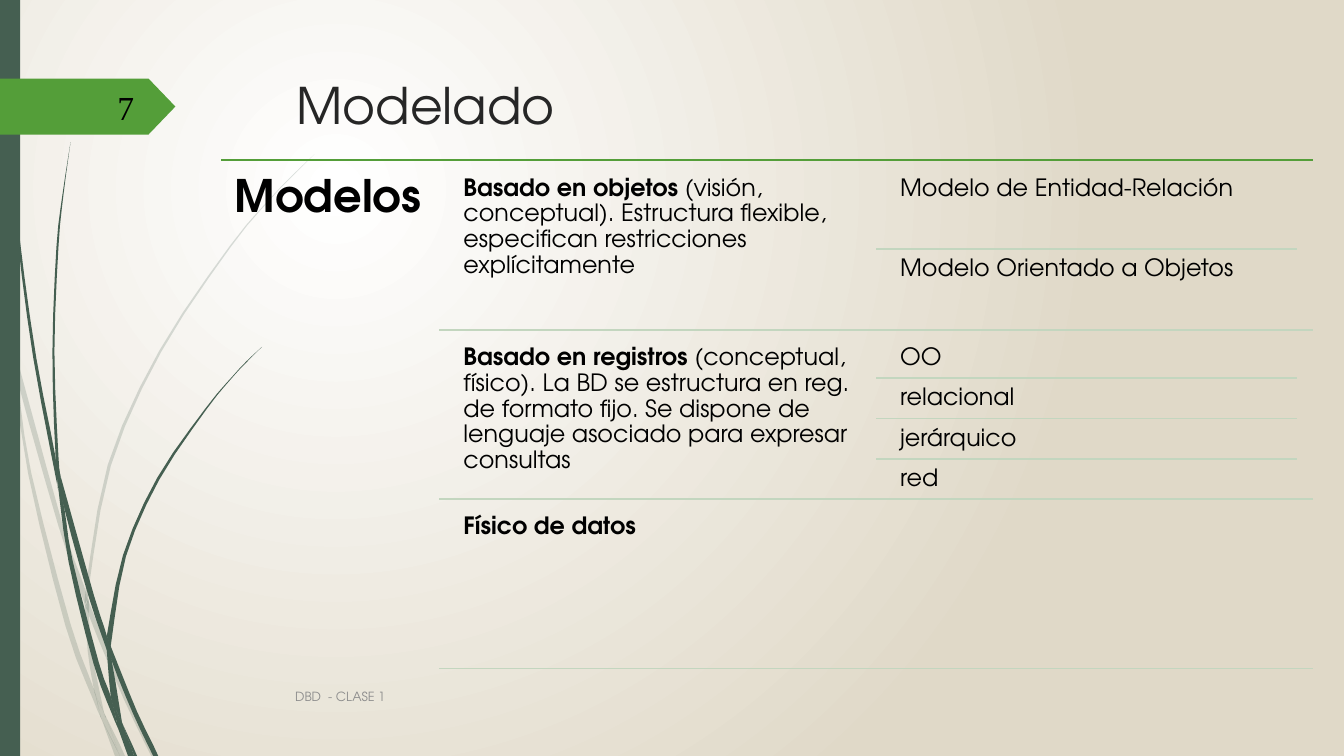
from lxml.etree import SubElement
from pptx import Presentation
from pptx.dml.color import RGBColor
from pptx.enum.shapes import MSO_CONNECTOR, MSO_SHAPE
from pptx.enum.text import MSO_ANCHOR, PP_ALIGN
from pptx.oxml.ns import qn
from pptx.util import Inches, Pt

INK = {"dark": "455F51", "green": "549E39", "rule": "C3D6BF", "title": "262626",
       "black": "000000", "gray": "8C8C8C", "white": "FFFFFF", "sand": "E0D9C8"}
FONT = "TeX Gyre Adventor"

BANDS = [
    ("Basado en objetos",
     " (visión, conceptual). Estructura flexible, especifican restricciones explícitamente",
     ["Modelo de Entidad-Relación", "Modelo Orientado a Objetos"]),
    ("Basado en registros",
     " (conceptual, físico). La BD se estructura en reg. de formato fijo. "
     "Se dispone de lenguaje asociado para expresar consultas",
     ["OO", "relacional", "jerárquico", "red"]),
    ("Físico de datos", "", []),
]

PALE = [
    ([(1.1, 35), (0.9, 32.2), (0, 28.2)], [(0, 29.9), (1, 34.4)]),
    ([(1.4, 34.5), (1.7, 37.6), (5.8, 52.2), (8.4, 59.9)], [(8.5, 58.6), (6.2, 52)]),
    ([(8.8, 59.6), (8.8, 61), (12.3, 69.4), (15, 75)], [(15.5, 75), (12.7, 69.2), (9.2, 60.7)]),
    ([(10.5, 71.1), (11.9, 75)], [(12.4, 75)]),
    ([(1.1, 35), (2.8, 47), (6.5, 62.1), (9.2, 69.3), (10.1, 71.4)],
     [(9.9, 70.7), (9.3, 68.3), (7, 61.9), (3.1, 46.9), (1.7, 37.6)]),
    ([(8.4, 59.9), (8.7, 64.6), (9.3, 68.3), (9.6, 69.2), (10.5, 71.1)],
     [(10.3, 70.6), (9.1, 64.6), (8.8, 61)]),
    ([(31.2, 15.3), (28.9, 17.5), (26.8, 19.7), (22.8, 24.4), (15.8, 34.8), (10.7, 46.1),
      (8.5, 58.4)],
     [(8.8, 59.6), (8.8, 58.4), (11, 46.2), (16, 34.9), (22.9, 24.5), (26.8, 19.8), (29, 17.5)]),
    ([(10.1, 71.4), (11.4, 75)], [(11.9, 75)]),
    ([(8.5, 58.6), (8.4, 59.9), (8.8, 60.8)], [(8.8, 61), (8.8, 59.6)]),
    ([(9.3, 68.3), (9.9, 70.7), (10.1, 71.4), (11.9, 75)], [(10.5, 71.1), (9.6, 69.2)]),
]
DEEP = [
    ([(0.3, 0), (0.4, 4.8), (0.7, 11), (1.7, 23.3), (3.3, 35.5), (5.6, 47.7), (5.7, 48.1)],
     [(5.5, 45.3), (3.6, 35.5), (1.9, 23.2), (0.8, 10.9), (0.5, 4.8), (0.4, 0)]),
    ([(6, 47.2), (6.4, 50.5), (8.8, 59.2), (10.6, 64.5)], [(10.6, 63.1), (9.3, 59)]),
    ([(11, 64.1), (11.1, 65.6), (13.2, 70.8), (15.2, 75)], [(15.7, 75), (13.6, 70.6), (11.3, 64.9)]),
    ([(5.7, 47.7), (6.8, 55.7), (9.3, 65.9), (11.1, 70.8), (11.7, 72.2)],
     [(11.6, 71.7), (11, 69.1), (9.8, 65.7), (7.2, 55.6), (6.4, 50.5)]),
    ([(7, 14.1), (6.2, 19.3), (5.6, 24.5), (5.2, 34.9), (5.5, 44.9), (6, 47.2)],
     [(5.8, 45.3), (5.4, 34.9), (5.8, 24.5), (6.3, 19.3)]),
    ([(12.2, 71.9), (13.3, 75)], [(13.6, 75)]),
    ([(5.5, 44.9), (5.7, 47.7), (6.4, 50.5)], [(6, 47.2)]),
    ([(26, 34.4), (24.5, 35.8), (23.1, 37.3), (20.4, 40.5), (15.6, 47.4), (12.2, 55.1),
      (10.6, 63.1)],
     [(11, 64.1), (11.1, 63.3), (12.5, 55.2), (15.8, 47.6), (20.5, 40.6), (23.1, 37.4),
      (24.5, 35.9)]),
    ([(11.7, 72.2), (12.7, 75)], [(13.1, 75)]),
    ([(10.6, 64.5), (11, 69.1), (11.6, 70.6), (12.2, 71.9)], [(12.1, 71.6), (11.1, 65.6)]),
    ([(10.6, 63.1), (10.6, 64.5), (11.1, 65.6)], [(11, 64.1)]),
    ([(11, 69.1), (11.6, 71.7), (11.7, 72.2), (13, 75)], [(13.3, 75), (12.2, 71.9), (11.6, 70.6)]),
]


def curve(dots, steps=3):
    """Return a smooth run of points through the dots."""
    ends = [dots[0], *dots, dots[-1]]
    run = []
    for a, b, c, d in zip(ends, ends[1:], ends[2:], ends[3:]):
        for i in range(steps):
            t = i / steps
            run.append(tuple(
                q + t * (r - p) / 2 + t * t * (2 * p - 5 * q + 4 * r - s) / 2
                + t ** 3 * (3 * q - p - 3 * r + s) / 2
                for p, q, r, s in zip(a, b, c, d)))
    return run + [dots[-1]]


class Deck:
    """Draw on one slide whose grid cells are a tenth of an inch."""

    def __init__(self, show):
        self.slide = show.slides.add_slide(show.slide_layouts[6])
        self.shapes = self.slide.shapes

    def grid(self, *cells):
        return [Inches(n / 10) for n in cells]

    def tint(self, name):
        return RGBColor.from_string(INK[name])

    def ground(self, inner, outer):
        fill = self.slide.background.fill
        fill.gradient()
        for stop, name, place in zip(fill.gradient_stops, (inner, outer), (0, 1)):
            stop.color.rgb = self.tint(name)
            stop.position = place
        grad = self.slide._element.find(".//" + qn("a:gradFill"))
        grad.remove(grad.find(qn("a:lin")))
        way = SubElement(grad, qn("a:path"))
        way.set("path", "circle")
        rect = SubElement(way, qn("a:fillToRect"))
        for side, part in zip("ltrb", (50, 50, 100, 100)):
            rect.set(side, str(part * 1000))

    def paint(self, shape, name):
        shape.shadow.inherit = False
        shape.fill.solid()
        shape.fill.fore_color.rgb = self.tint(name)
        shape.line.fill.background()

    def block(self, kind, box, name):
        shape = self.shapes.add_shape(kind, *self.grid(*box))
        self.paint(shape, name)
        return shape

    def blade(self, down, back, alpha=None):
        edge = curve(down) + curve([down[-1], *back, down[0]])[1:-1]
        edge = [self.grid(*dot) for dot in edge]
        pen = self.shapes.build_freeform(*edge[0])
        pen.add_line_segments(edge[1:], close=True)
        shape = pen.convert_to_shape()
        self.paint(shape, "dark")
        if alpha:
            color = shape._element.spPr.find(".//" + qn("a:srgbClr"))
            SubElement(color, qn("a:alpha")).set("val", str(alpha * 1000))

    def rule(self, left, right, top, name="rule"):
        line = self.shapes.add_connector(
            MSO_CONNECTOR.STRAIGHT, *self.grid(left, top, right, top))
        line.line.color.rgb = self.tint(name)
        line.line.width = Pt(1.25)
        SubElement(line._element.spPr, qn("a:effectLst"))

    def text(self, box, parts, size, name="black", font=FONT, pad=(1, 0.5),
             space=None, align=None, mid=False):
        frame = self.shapes.add_textbox(*self.grid(*box)).text_frame
        frame.word_wrap = True
        frame.margin_left = frame.margin_right = Inches(pad[0] / 10)
        frame.margin_top = frame.margin_bottom = Inches(pad[1] / 10)
        frame.vertical_anchor = MSO_ANCHOR.MIDDLE if mid else MSO_ANCHOR.TOP
        para = frame.paragraphs[0]
        para.line_spacing = space
        para.alignment = align
        for words, bold in parts:
            run = para.add_run()
            run.text = words
            run.font.name = font
            run.font.size = Pt(size)
            run.font.bold = bold
            run.font.color.rgb = self.tint(name)

    def cell(self, box, parts):
        self.text(box, parts, 17, pad=(0.7, 0.7), space=0.9)


def main():
    show = Presentation()
    show.slide_width, show.slide_height = Inches(40) // 3, Inches(7.5)
    deck = Deck(show)
    deck.ground("white", "sand")
    for down, back in PALE:
        deck.blade(down, back, alpha=20)
    for down, back in DEEP:
        deck.blade(down, back)
    deck.block(MSO_SHAPE.RECTANGLE, (0, 0, 2, 75), "dark")
    flag = deck.block(MSO_SHAPE.PENTAGON, (0, 7.8, 17.4, 5.55), "green")
    flag.adjustments[0] = 0.48

    deck.text((28.4, 6.85, 97.5, 14), [("Modelado", False)], 36, "title")
    deck.rule(21.95, 130.3, 15.9, "green")
    deck.text((22, 15.9, 21.7, 51.2), [("Modelos", True)], 32, pad=(1.3, 1.3), space=0.9)
    high, step = 16, 16.8
    for i, (head, body, kinds) in enumerate(BANDS):
        top = 16.73 + i * step
        parts = [(head, True), (body, False)] if body else [(head, True)]
        deck.cell((45.28, top, 41.7, high), parts)
        for j, kind in enumerate(kinds):
            part = high / len(kinds)
            y = top + j * part
            deck.cell((88.6, y, 41.7, part), [(kind, False)])
            if j:
                deck.rule(86.95, 128.65, y)
        deck.rule(43.6, 130.3, top + high)

    deck.text((28.3, 67.1, 83.3, 4), [("DBD  - CLASE 1", False)], 9, "gray", mid=True)
    deck.text((5.8, 8.6, 8.5, 4), [("7", False)], 24, font="Times New Roman",
              align=PP_ALIGN.RIGHT, mid=True)
    show.save("out.pptx")


if __name__ == "__main__":
    main()
